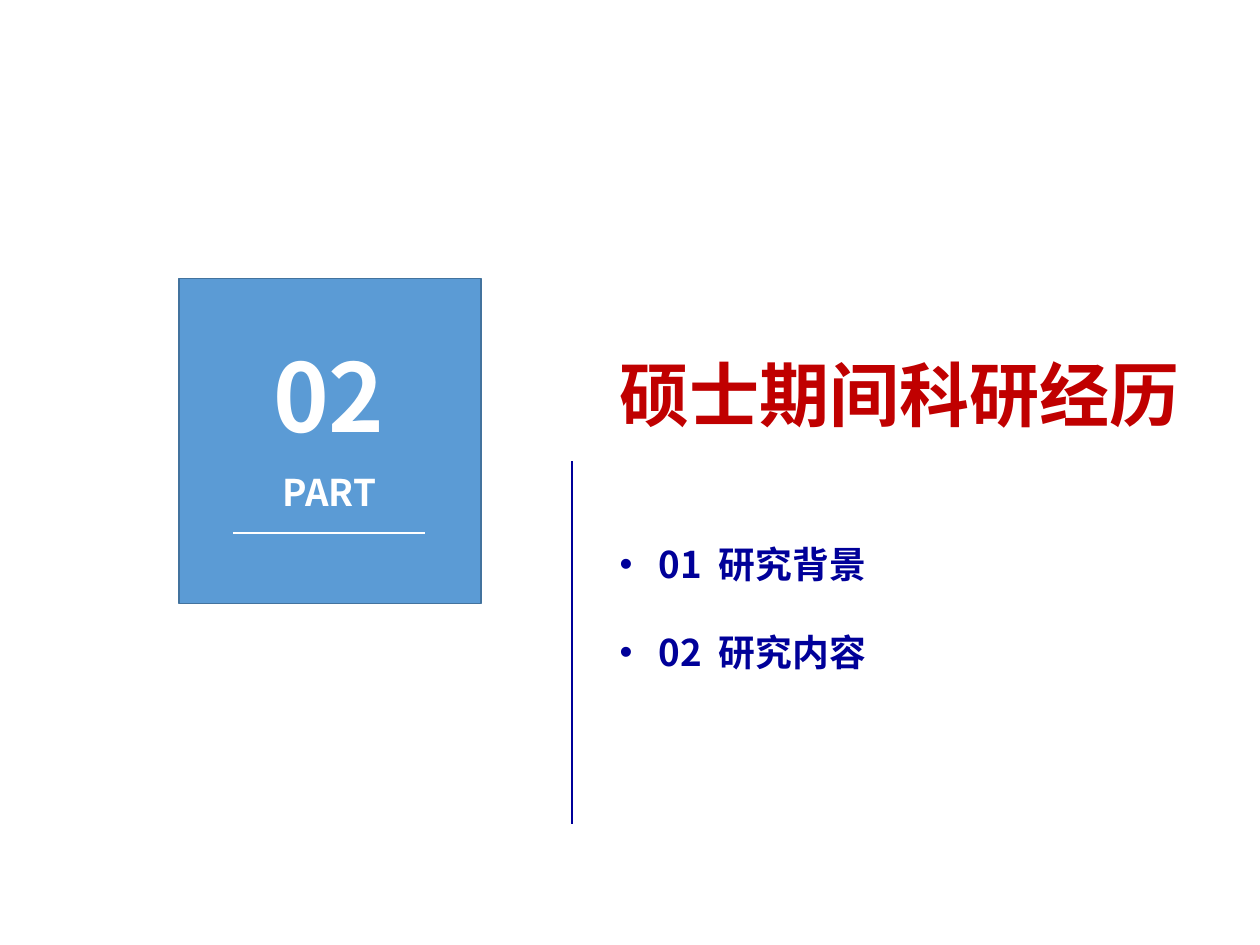
from lxml import etree
from pptx import Presentation
from pptx.dml.color import RGBColor
from pptx.enum.shapes import MSO_CONNECTOR, MSO_SHAPE
from pptx.enum.text import PP_ALIGN
from pptx.oxml.ns import qn
from pptx.util import Inches, Pt

FONT = "Noto Sans CJK SC"
WHITE = RGBColor(0xFF, 0xFF, 0xFF)
BLUE = RGBColor(0x5B, 0x9B, 0xD5)
EDGE = RGBColor(0x43, 0x73, 0x9E)
NAVY = RGBColor(0x00, 0x00, 0x99)
RED = RGBColor(0xC0, 0x00, 0x00)
RECTANGLE = MSO_SHAPE.RECTANGLE
STRAIGHT = MSO_CONNECTOR.STRAIGHT
LEFT, CENTER = PP_ALIGN.LEFT, PP_ALIGN.CENTER


def add_text(shapes, text, place, size, color, align=LEFT, fill=None, bullet=False):
    """Add a text box with one paragraph for each line of text."""
    box = shapes.add_textbox(*[Inches(value) for value in place])
    if fill is not None:
        box.fill.solid()
        box.fill.fore_color.rgb = fill
    frame = box.text_frame
    frame.word_wrap = True
    frame.text = text
    for para in frame.paragraphs:
        para.alignment = align
        if bullet:
            para.line_spacing = 2.0
            properties = para._p.get_or_add_pPr()
            properties.set("marL", str(Inches(0.31)))
            properties.set("indent", str(-Inches(0.31)))
            etree.SubElement(properties, qn("a:buFont")).set("typeface", "Arial")
            etree.SubElement(properties, qn("a:buChar")).set("char", "•")
        for span in para.runs:
            span.font.name = FONT
            span.font.size = Pt(size)
            span.font.bold = True
            span.font.color.rgb = color
            east_asian = etree.SubElement(span.font._element, qn("a:ea"))
            east_asian.set("typeface", FONT)


def add_rule(shapes, x1, y1, x2, y2, color):
    """Add a straight line without a shadow."""
    rule = shapes.add_connector(STRAIGHT, Inches(x1), Inches(y1), Inches(x2), Inches(y2))
    rule.line.color.rgb = color
    rule.line.width = Pt(1.5)
    etree.SubElement(rule._element.spPr, qn("a:effectLst"))


deck = Presentation()
deck.slide_width = Inches(10)
deck.slide_height = Inches(7.5)
page = deck.slides.add_slide(deck.slide_layouts[6])

# Section number card
card = page.shapes.add_group_shape().shapes
panel = card.add_shape(RECTANGLE, Inches(1.42), Inches(2.21), Inches(2.4), Inches(2.58))
panel.shadow.inherit = False
panel.fill.solid()
panel.fill.fore_color.rgb = BLUE
panel.line.color.rgb = EDGE
panel.line.width = Pt(1)
add_text(card, "02", (2.03, 2.63, 1.16, 1.01), 54, WHITE, align=CENTER, fill=BLUE)
add_text(card, "PART", (1.95, 3.68, 1.33, 0.45), 21, WHITE, align=CENTER, fill=BLUE)
add_rule(card, 1.85, 4.23, 3.37, 4.23, WHITE)

# Divider, section title and contents
add_rule(page.shapes, 4.54, 3.66, 4.54, 6.54, NAVY)
add_text(page.shapes, "硕士期间科研经历", (4.82, 2.74, 4.95, 0.77), 40, RED)
add_text(page.shapes, "01  研究背景\n02  研究内容", (4.82, 3.9, 4.3, 1.51), 21, NAVY, bullet=True)

deck.save("out.pptx")
